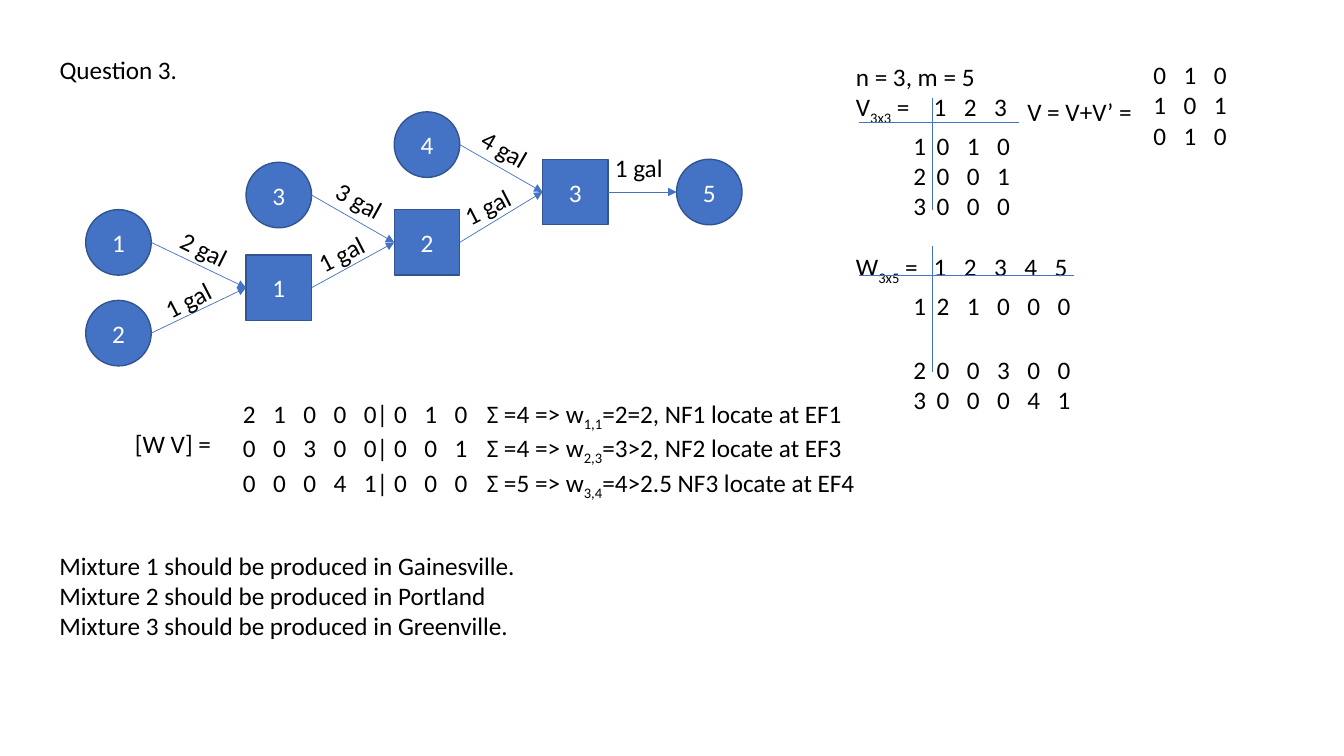
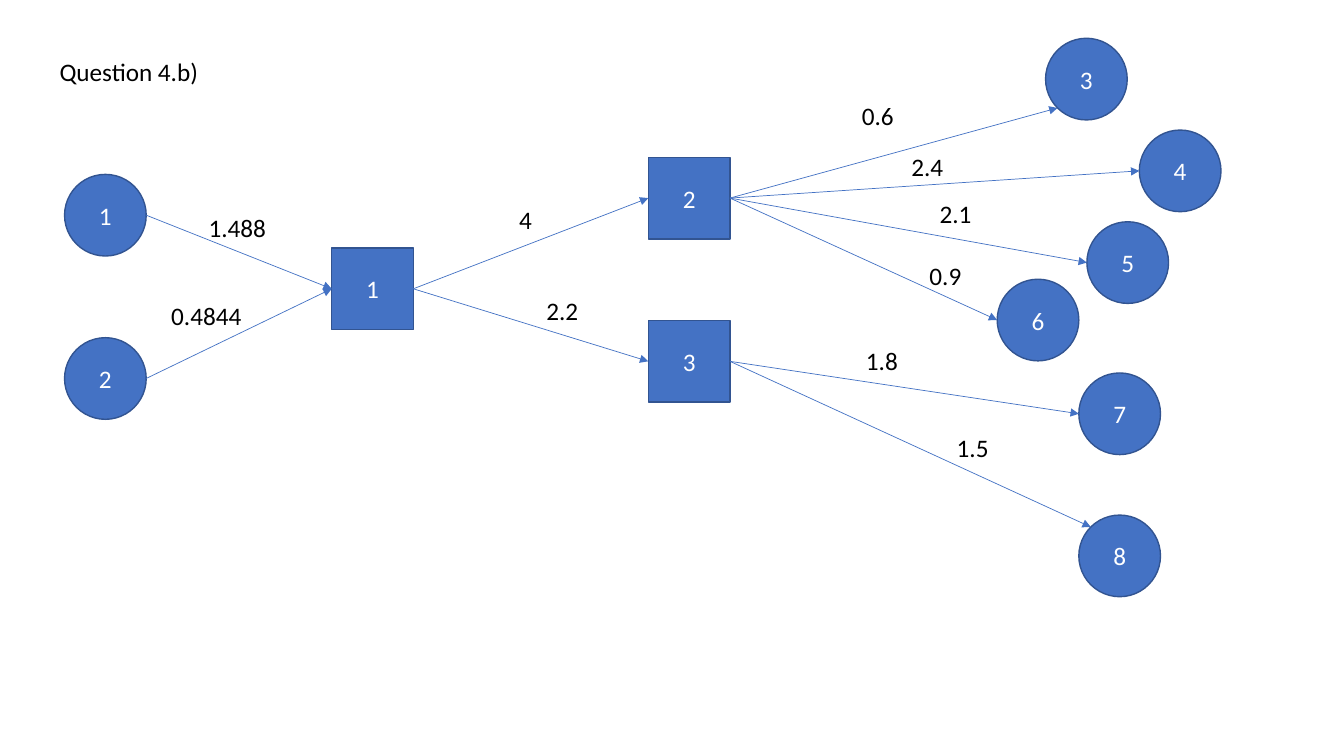
from lxml.etree import SubElement
from pptx import Presentation
from pptx.dml.color import RGBColor
from pptx.enum.shapes import MSO_CONNECTOR as Conn, MSO_SHAPE as Shape
from pptx.enum.text import MSO_ANCHOR as Anchor, MSO_AUTO_SIZE as Fit, PP_ALIGN as Align
from pptx.oxml.ns import qn
from pptx.util import Inches, Pt
from math import cos, radians, sin

HUES = {"fill": "4472C4", "edge": "325491", "text": "000000", "node": "FFFFFF"}
FONT, SIZE = "Calibri", 18
STEP = 0.3  # column pitch of the matrices

# Networks: "c" nodes are circles, "s" nodes are squares; each has left, top
# Edges: start, end, label, then left, top, width, rotation of the label
MIX = {
    "title": ("Question 3.", 0.49),
    "size": 0.65,
    "nodes": {
        "c1": (0.85, 2.08), "c2": (0.85, 2.98), "s1": (2.44, 2.53),
        "c3": (2.44, 1.61), "s2": (3.91, 2.08), "c4": (3.91, 1.11),
        "s3": (5.38, 1.58), "c5": (6.71, 1.58),
    },
    "edges": [
        ("c1", "s1", "2 gal", 1.63, 2.27, 0.79, 26.4),
        ("c2", "s1", "1 gal", 1.52, 2.75, 0.79, 332.7),
        ("s1", "s2", "1 gal", 3.04, 2.29, 0.79, 332.7),
        ("c3", "s2", "3 gal", 3.17, 1.79, 0.79, 28.9),
        ("c4", "s3", "4 gal", 4.61, 1.28, 0.79, 30),
        ("s2", "s3", "1 gal", 4.49, 1.82, 0.79, 332.7),
        ("s3", "c5", "1 gal", 6, 1.46, 0.79, 0),
    ],
    "ends": {},
}
FLOW = {
    "title": ("Question 4.b)", 0.51),
    "size": 0.81,
    "nodes": {
        "c1": (0.64, 1.73), "c2": (0.64, 3.35), "s1": (3.29, 2.46),
        "s3": (6.43, 3.18), "s2": (6.43, 1.56), "c3": (10.37, 0.38),
        "c4": (11.3, 1.29), "c6": (9.89, 2.77), "c5": (10.78, 2.2),
        "c7": (10.7, 3.7), "c8": (10.7, 5.11),
    },
    "edges": [
        ("c1", "s1", "1.488", 1.97, 2.06, 1.04, 0),
        ("c2", "s1", "0.4844", 1.6, 2.93, 1.04, 0),
        ("s1", "s2", "4", 5.05, 1.98, 0.42, 0),
        ("s1", "s3", "2.2", 5.32, 2.88, 0.6, 0),
        ("s2", "c3", "0.6", 8.45, 0.95, 0.53, 0),
        ("s2", "c4", "2.4", 8.94, 1.45, 1.04, 0),
        ("s2", "c5", "2.1", 9.22, 1.92, 1.04, 0),
        ("s2", "c6", "0.9", 9.12, 2.53, 1.04, 0),
        ("s3", "c7", "1.8", 8.49, 3.38, 0.63, 0),
        ("s3", "c8", "1.5", 9.39, 4.24, 1.04, 0),
    ],
    "ends": {"c3": 135, "c8": 225},  # arrival angle, otherwise 180
}

# Text between underscores is subscript; tabs separate matrix columns
HEAD = [0.77 + STEP * i for i in range(5)]
ROW = [0.57] + [0.8 + STEP * i for i in range(5)]
SUMS = [STEP * i for i in range(1, 8)] + [2.42]
# Matrix lines: text, tab stops, space before in points
MATRIX = [
    ("n = 3, m = 5", [], 0),
    ("V_3x3_ =\t1\t2\t3", HEAD, 0),
    ("\t1\t0\t1\t0", ROW, 3),
    ("\t2\t0\t0\t1", ROW, 0),
    ("\t3\t0\t0\t0", ROW, 0),
    ("W_3x5_ =\t1\t2\t3\t4\t5", HEAD, 22),
    ("\t1\t2\t1\t0\t0\t0", ROW, 3),
    ("\t2\t0\t0\t3\t0\t0", ROW, 24),
    ("\t3\t0\t0\t0\t4\t1", ROW, 0),
]
VSUM = ["0\t1\t0", "1\t0\t1", "0\t1\t0"]
TOTALS = [
    "2\t1\t0\t0\t0|\t0\t1\t0\tΣ =4 => w_1,1_=2=2, NF1 locate at EF1",
    "0\t0\t3\t0\t0|\t0\t0\t1\tΣ =4 => w_2,3_=3>2, NF2 locate at EF3",
    "0\t0\t0\t4\t1|\t0\t0\t0\tΣ =5 => w_3,4_=4>2.5 NF3 locate at EF4",
]
RESULT = [
    "Mixture 1 should be produced in Gainesville.",
    "Mixture 2 should be produced in Portland",
    "Mixture 3 should be produced in Greenville.",
]
BLOCKS = [  # left, top, width, height, lines
    (8.39, 0.56, 2.41, 3.13, MATRIX),
    (10.09, 0.91, 1.35, 0.4, [("V = V+V’ =", [], 0)]),
    (11.34, 0.54, 0.98, 1.01, [(t, SUMS[:2], 0) for t in VSUM]),
    (1.24, 4.2, 1.2, 0.4, [("[W V] =", [], 0)]),
    (2.31, 3.9, 6.73, 1.01, [(t, SUMS, 0) for t in TOTALS]),
    (0.49, 5.41, 4.96, 1.01, [(t, [], 0) for t in RESULT]),
]
RULES = [  # axes of the V and W matrices
    (8.52, 1.21, 10.11, 1.21), (9.25, 0.97, 9.25, 2.08),
    (9.25, 2.44, 9.25, 3.69), (8.52, 2.73, 10.65, 2.73),
]


def hue(name):
    return RGBColor.from_string(HUES[name])


def style(run, color="text"):
    run.font.name, run.font.size = FONT, Pt(SIZE)
    run.font.color.rgb = hue(color)


def fill_par(par, text, stops=(), gap=0):
    par.space_before = Pt(gap)
    if stops:
        tabs = SubElement(par._p.get_or_add_pPr(), qn("a:tabLst"))
        for stop in stops:
            SubElement(tabs, qn("a:tab"), pos=str(Inches(stop)), algn="l")
    for i, part in enumerate(text.split("_")):
        run = par.add_run()
        run.text = part
        style(run)
        if i % 2:
            run.font._element.set("baseline", "-25000")


def add_text(slide, left, top, width, height, lines):
    box = slide.shapes.add_textbox(*map(Inches, (left, top, width, height)))
    frame = box.text_frame
    frame.word_wrap, frame.auto_size = True, Fit.SHAPE_TO_FIT_TEXT
    for i, line in enumerate(lines):
        fill_par(frame.add_paragraph() if i else frame.paragraphs[0], *line)
    return box


def add_line(slide, points, arrow=False):
    line = slide.shapes.add_connector(Conn.STRAIGHT, *map(Inches, points))
    line.line.color.rgb, line.line.width = hue("fill"), Pt(0.5)
    if arrow:
        SubElement(line.line._get_or_add_ln(), qn("a:tailEnd"), type="triangle")
    SubElement(line._element.spPr, qn("a:effectLst"))


def add_title(slide, text, top):
    title = slide.shapes.title
    title.left, title.top = Inches(0.49), Inches(top)
    title.width, title.height = Inches(1.66), Inches(0.4)
    frame = title.text_frame
    frame.text = text
    frame.vertical_anchor, frame.auto_size = Anchor.TOP, Fit.NONE
    frame.paragraphs[0].alignment = Align.LEFT
    style(frame.paragraphs[0].runs[0])


def add_node(slide, name, left, top, size):
    kind = Shape.OVAL if name[0] == "c" else Shape.RECTANGLE
    node = slide.shapes.add_shape(kind, *map(Inches, (left, top, size, size)))
    node.shadow.inherit = False
    node.fill.solid()
    node.fill.fore_color.rgb = hue("fill")
    node.line.color.rgb, node.line.width = hue("edge"), Pt(1)
    frame = node.text_frame
    frame.text = name[1:]
    frame.vertical_anchor = Anchor.MIDDLE
    frame.paragraphs[0].alignment = Align.CENTER
    style(frame.paragraphs[0].runs[0], "node")


def rim(net, name, angle):
    """Point of a node's rim at the given clockwise angle."""
    half, turn = net["size"] / 2, radians(angle)
    left, top = net["nodes"][name]
    return left + half * (1 + cos(turn)), top + half * (1 + sin(turn))


def add_net(deck, net):
    slide = deck.slides.add_slide(deck.slide_layouts[5])
    add_title(slide, *net["title"])
    for name, place in net["nodes"].items():
        add_node(slide, name, *place, net["size"])
    for start, end, label, left, top, width, turn in net["edges"]:
        stop = rim(net, end, net["ends"].get(end, 180))
        add_line(slide, rim(net, start, 0) + stop, arrow=True)
        box = add_text(slide, left, top, width, 0.4, [(label,)])
        box.rotation = turn
        if 0 < turn < 90:
            box.text_frame.paragraphs[0].alignment = Align.CENTER
    return slide


# Build both slides
deck = Presentation()
deck.slide_width, deck.slide_height = Inches(13.33), Inches(7.5)
mix = add_net(deck, MIX)
for block in BLOCKS:
    add_text(mix, *block)
for points in RULES:
    add_line(mix, points)
add_net(deck, FLOW)
deck.save("out.pptx")
